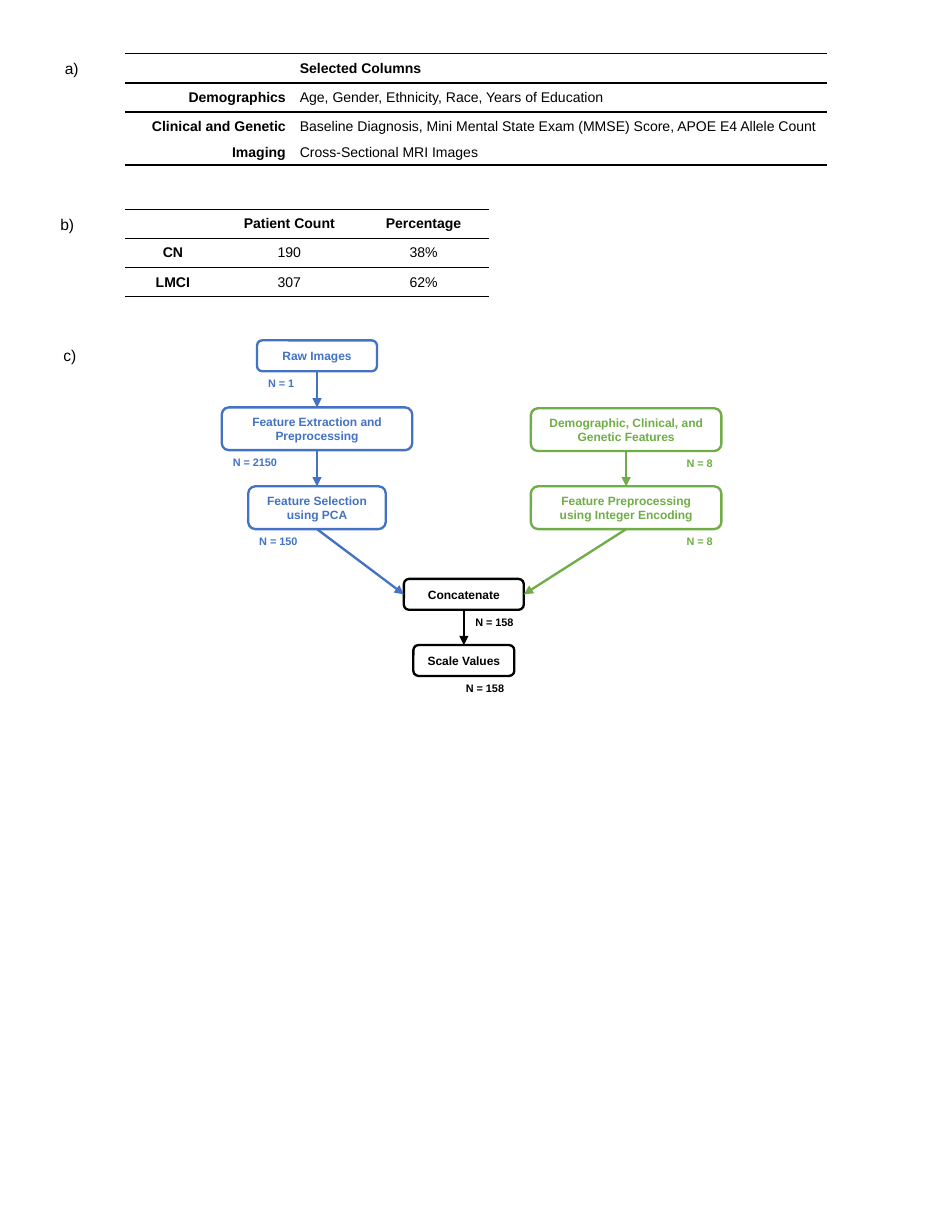
from lxml.etree import SubElement
from pptx import Presentation
from pptx.dml.color import RGBColor
from pptx.enum.shapes import MSO_CONNECTOR as CONN, MSO_SHAPE as SHAPE
from pptx.enum.text import MSO_ANCHOR as ANCHOR, MSO_AUTO_SIZE as AUTO, PP_ALIGN as ALIGN
from pptx.oxml.ns import qn
from pptx.util import Cm, Pt

COLORS = {"image": "4472C4", "clinical": "70AD47", "merged": "000000", "text": "000000"}
NO_STYLE = "{2D5ABB26-0587-4C30-8999-92F81FD0307C}"


def style(p, size, color, bold=False, align=ALIGN.LEFT):
    p.alignment = align
    p.font.name = "Arial"
    p.font.size = Pt(size)
    p.font.bold = bold
    p.font.color.rgb = RGBColor.from_string(COLORS[color])


def add_label(shapes, text, left, top, width, height, size, color, bold=False):
    sp = shapes.add_textbox(Cm(left), Cm(top), Cm(width), Cm(height))
    tf = sp.text_frame
    tf.word_wrap = False
    tf.auto_size = AUTO.SHAPE_TO_FIT_TEXT
    tf.text = text
    style(tf.paragraphs[0], size, color, bold)


prs = Presentation()
prs.slide_width, prs.slide_height = Cm(21.59), Cm(27.94)
s = prs.slides.add_slide(prs.slide_layouts[6])

# Flowchart boxes, each with its feature count below:
# name, text, colour, centre x, top, width, height, count, count width, count side
boxes = [
    ("raw", "Raw Images", "image", 7.19, 7.72, 2.72, 0.7, "N = 1", 1.24, "left"),
    ("extract", "Feature Extraction and Preprocessing", "image",
     7.19, 9.24, 4.32, 0.97, "N = 2150", 1.68, "left"),
    ("select", "Feature Selection using PCA", "image",
     7.19, 11.03, 3.12, 0.97, "N = 150", 1.55, "left"),
    ("features", "Demographic, Clinical, and Genetic Features", "clinical",
     14.2, 9.26, 4.32, 0.97, "N = 8", 1.24, "right"),
    ("encode", "Feature Preprocessing using Integer Encoding", "clinical",
     14.2, 11.03, 4.32, 0.97, "N = 8", 1.24, "right"),
    ("concat", "Concatenate", "merged", 10.52, 13.13, 2.72, 0.7, "N = 158", 1.55, "right"),
    ("scale", "Scale Values", "merged", 10.52, 14.63, 2.29, 0.7, "N = 158", 1.55, "right"),
]
flow = s.shapes.add_group_shape().shapes
nodes = {}
for name, text, color, center, top, width, height, count, count_width, side in boxes:
    left = center - width / 2
    sp = flow.add_shape(SHAPE.ROUNDED_RECTANGLE, Cm(left), Cm(top), Cm(width), Cm(height))
    sp.shadow.inherit = False
    sp.fill.background()
    sp.line.color.rgb = RGBColor.from_string(COLORS[color])
    sp.line.width = Pt(1.5)
    tf = sp.text_frame
    tf.word_wrap = True
    tf.vertical_anchor = ANCHOR.MIDDLE
    tf.text = text
    style(tf.paragraphs[0], 7.7, color, True, ALIGN.CENTER)
    nodes[name] = sp

    # Right-hand counts reach slightly past the box edge
    count_left = left if side == "left" else left + width + 0.2 - count_width
    add_label(flow, count, count_left, top + height, count_width, 0.62, 7, color, True)

# Arrows: from the bottom of one box to a side of the next (0 top, 1 left, 3 right)
arrows = [
    ("raw", "extract", 0, "image"),
    ("extract", "select", 0, "image"),
    ("select", "concat", 1, "image"),
    ("features", "encode", 0, "clinical"),
    ("encode", "concat", 3, "clinical"),
    ("concat", "scale", 0, "merged"),
]
for start, end, site, color in arrows:
    arrow = flow.add_connector(CONN.STRAIGHT, 0, 0, 0, 0)
    arrow.begin_connect(nodes[start], 2)
    arrow.end_connect(nodes[end], site)
    arrow.line.color.rgb = RGBColor.from_string(COLORS[color])
    arrow.line.width = Pt(1.5)
    SubElement(arrow.line._get_or_add_ln(), qn("a:tailEnd"), type="triangle")
    SubElement(arrow._element.spPr, qn("a:effectLst"))

# Tables: top, column widths, row heights, column alignments, rows
tables = [
    (1.22, [3.81, 12.12], [0.66, 0.66, 0.66, 0.53], [ALIGN.RIGHT, ALIGN.LEFT], [
        ["", "Selected Columns"],
        ["Demographics", "Age, Gender, Ethnicity, Race, Years of Education"],
        ["Clinical and Genetic",
         "Baseline Diagnosis, Mini Mental State Exam (MMSE) Score, APOE E4 Allele Count"],
        ["Imaging", "Cross-Sectional MRI Images"],
    ]),
    (4.75, [2.18, 3.1, 2.99], [0.66] * 3, [ALIGN.CENTER] * 3, [
        ["", "Patient Count", "Percentage"],
        ["CN", "190", "38%"],
        ["LMCI", "307", "62%"],
    ]),
]
for top, widths, heights, aligns, rows in tables:
    frame = s.shapes.add_table(len(rows), len(widths), Cm(2.83), Cm(top),
                               Cm(sum(widths)), Cm(sum(heights)))
    table = frame.table
    table.first_row = table.horz_banding = False
    table._tbl.tblPr.find(qn("a:tableStyleId")).text = NO_STYLE
    for column, width in zip(table.columns, widths):
        column.width = Cm(width)
    for i, (row, height) in enumerate(zip(rows, heights)):
        table.rows[i].height = Cm(height)
        for j, text in enumerate(row):
            cell = table.cell(i, j)
            cell.margin_left = cell.margin_right = Cm(0.16)
            cell.margin_top = cell.margin_bottom = Cm(0.08)
            cell.vertical_anchor = ANCHOR.MIDDLE
            cell.text = text
            p = cell.text_frame.paragraphs[0]
            style(p, 9, "text", i == 0 or j == 0, aligns[j])
            if not text:
                SubElement(p._p, qn("a:endParaRPr"), sz="900")

            # Rules above and below the header and under the last row
            edges = {"a:lnT": i < 2, "a:lnB": i in (0, len(rows) - 1)}
            for tag, shown in edges.items():
                if shown:
                    ln = SubElement(cell._tc.get_or_add_tcPr(), qn(tag), w=str(Pt(1)))
                    fill = SubElement(ln, qn("a:solidFill"))
                    SubElement(fill, qn("a:srgbClr"), val=COLORS["text"])
            cell.fill.background()

# Panel letters
for text, left, top in [("a)", 1.22, 1.22), ("b)", 1.12, 4.75), ("c)", 1.19, 7.72)]:
    add_label(s.shapes, text, left, top, 0.83, 0.68, 10, "text")

prs.save("out.pptx")
